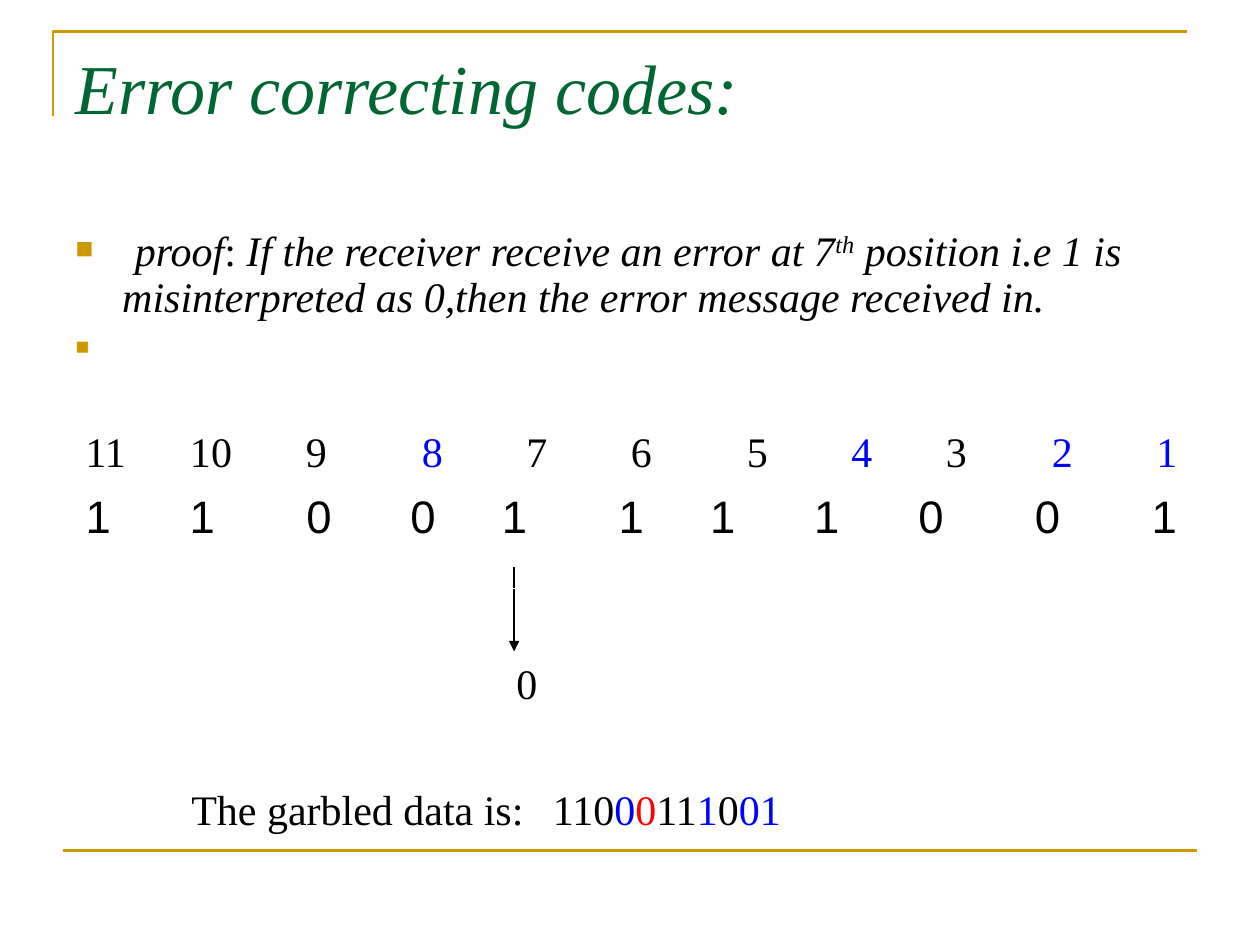
"""Build the slide on error correcting codes."""
import lxml.etree
import pptx
import pptx.dml.color
import pptx.enum.shapes
import pptx.enum.text
import pptx.oxml
import pptx.oxml.ns
import pptx.util
from pptx.util import Inches

GOLD, GREEN, BLACK, BLUE, RED = "CC9900", "006633", "000000", "0000FF", "FF0000"
SERIF, SANS = "Times New Roman", "Arial"


def tint(code):
    """Turn a hex string into a colour."""
    return pptx.dml.color.RGBColor.from_string(code)


def write(para, text, size=24, face=SERIF, color=BLACK, slant=False, raised=False):
    """Add a formatted run to a paragraph."""
    run = para.add_run()
    run.text = text
    run.font.size = pptx.util.Pt(size)
    run.font.name = face
    run.font.italic = slant
    run.font.color.rgb = tint(color)
    if raised:
        run._r.get_or_add_rPr().set("baseline", "30000")


deck = pptx.Presentation()
deck.slide_width, deck.slide_height = Inches(10), Inches(7.5)
slide = deck.slides.add_slide(deck.slide_layouts[1])
shapes = slide.shapes
title, body = shapes.title, slide.placeholders[1]

pen = shapes.build_freeform(Inches(0.42), Inches(0.92))
pen.add_line_segments([(Inches(0.42), Inches(0.25)), (Inches(9.42), Inches(0.25))], close=False)
frame = pen.convert_to_shape()
frame.shadow.inherit = False
frame.fill.background()
frame.line.color.rgb = tint(GOLD)
frame.line.width = pptx.util.Pt(1.5)

for start, end, color, width, head in [
    ((0.5, 6.75), (9.5, 6.75), GOLD, 1.5, False),
    ((4.08, 4.5), (4.08, 5.17), BLACK, 0.75, True),
]:
    rule = shapes.add_connector(
        pptx.enum.shapes.MSO_CONNECTOR.STRAIGHT, *map(Inches, start + end)
    )
    rule.line.color.rgb = tint(color)
    rule.line.width = pptx.util.Pt(width)
    if head:
        tip = lxml.etree.SubElement(rule.line._get_or_add_ln(), pptx.oxml.ns.qn("a:tailEnd"))
        tip.set("type", "triangle")
    lxml.etree.SubElement(rule._element.spPr, pptx.oxml.ns.qn("a:effectLst"))

for holder, place in [(title, (0.5, 0.3, 9, 1.25)), (body, (0.5, 1.75, 8.67, 1.34))]:
    holder.left, holder.top, holder.width, holder.height = map(Inches, place)
    holder.text_frame.vertical_anchor = pptx.enum.text.MSO_ANCHOR.TOP
    holder.text_frame.auto_size = pptx.enum.text.MSO_AUTO_SIZE.NONE

para = title.text_frame.paragraphs[0]
para.alignment = pptx.enum.text.PP_ALIGN.LEFT
write(para, "Error correcting codes:", size=40, color=GREEN, slant=True)

first, second = body.text_frame.paragraphs[0], body.text_frame.add_paragraph()
for para, gap in [(first, 0), (second, 5)]:
    props = para._p.get_or_add_pPr()
    props.set("marL", str(Inches(0.37)))
    props.set("indent", str(Inches(-0.37)))
    for tag in [
        f'buClr {{}}><a:srgbClr val="{GOLD}"/></a:buClr>',
        'buSzPct {} val="65000"/>',
        f'buFont {{}} typeface="{SANS}"/>',
        'buChar {} char="■"/>',
    ]:
        props.append(pptx.oxml.parse_xml("<a:" + tag.format(pptx.oxml.ns.nsdecls("a"))))
    para.line_spacing = 0.9
    para.space_before = pptx.util.Pt(gap)

write(first, " ", size=26, face=SANS, slant=True)
write(first, "proof", slant=True)
write(first, ": ")
write(first, "If the receiver receive an error at 7", slant=True)
write(first, "th", slant=True, raised=True)
write(first, " position i.e 1 is misinterpreted as 0,then the error message received in.", slant=True)
write(second, " ", size=20, slant=True)

bits = "11001111001"
pads = [0, 0, 1, 1, 0, 1, 0, 0, 0, 1, 2]
grid = shapes.add_table(
    1, len(bits), Inches(0.58), Inches(3.92), Inches(9.09), Inches(0.75)
).table
grid.first_row = grid.horz_banding = False
for cell, bit, pad in zip(grid.rows[0].cells, bits, pads):
    cell.fill.background()
    cell.margin_left = Inches(0.1 + 0.1 * pad)
    para = cell.text_frame.paragraphs[0]
    para.line_spacing = 0.81
    write(para, bit, size=26, face=SANS)

stops = [0.83, 1.75, 2.67, 3.5, 4.33, 5.25, 6.08, 6.83, 7.67, 8.5]
checks = (8, 4, 2, 1)
heads = [("11", BLACK)]
heads += [(f"\t{spot}", BLUE if spot in checks else BLACK) for spot in range(10, 0, -1)]
result = [("The garbled data is:\t110", BLACK), ("0", BLUE), ("0", RED), ("11", BLACK),
          ("1", BLUE), ("0", BLACK), ("01", BLUE)]
for place, tabs, parts in [
    ((0.58, 3.33, 9, 0.5), stops, heads),
    ((4, 5.17, 1, 0.5), [], [("0", BLACK)]),
    ((1.42, 6.17, 5.42, 0.5), [2.87], result),
]:
    box = shapes.add_textbox(*map(Inches, place)).text_frame
    box.word_wrap = True
    para = box.paragraphs[0]
    if tabs:
        row = lxml.etree.SubElement(para._p.get_or_add_pPr(), pptx.oxml.ns.qn("a:tabLst"))
        for stop in tabs:
            tab = lxml.etree.SubElement(row, pptx.oxml.ns.qn("a:tab"))
            tab.set("pos", str(Inches(stop)))
            tab.set("algn", "l")
    for text, color in parts:
        write(para, text, color=color)

deck.save("out.pptx")
